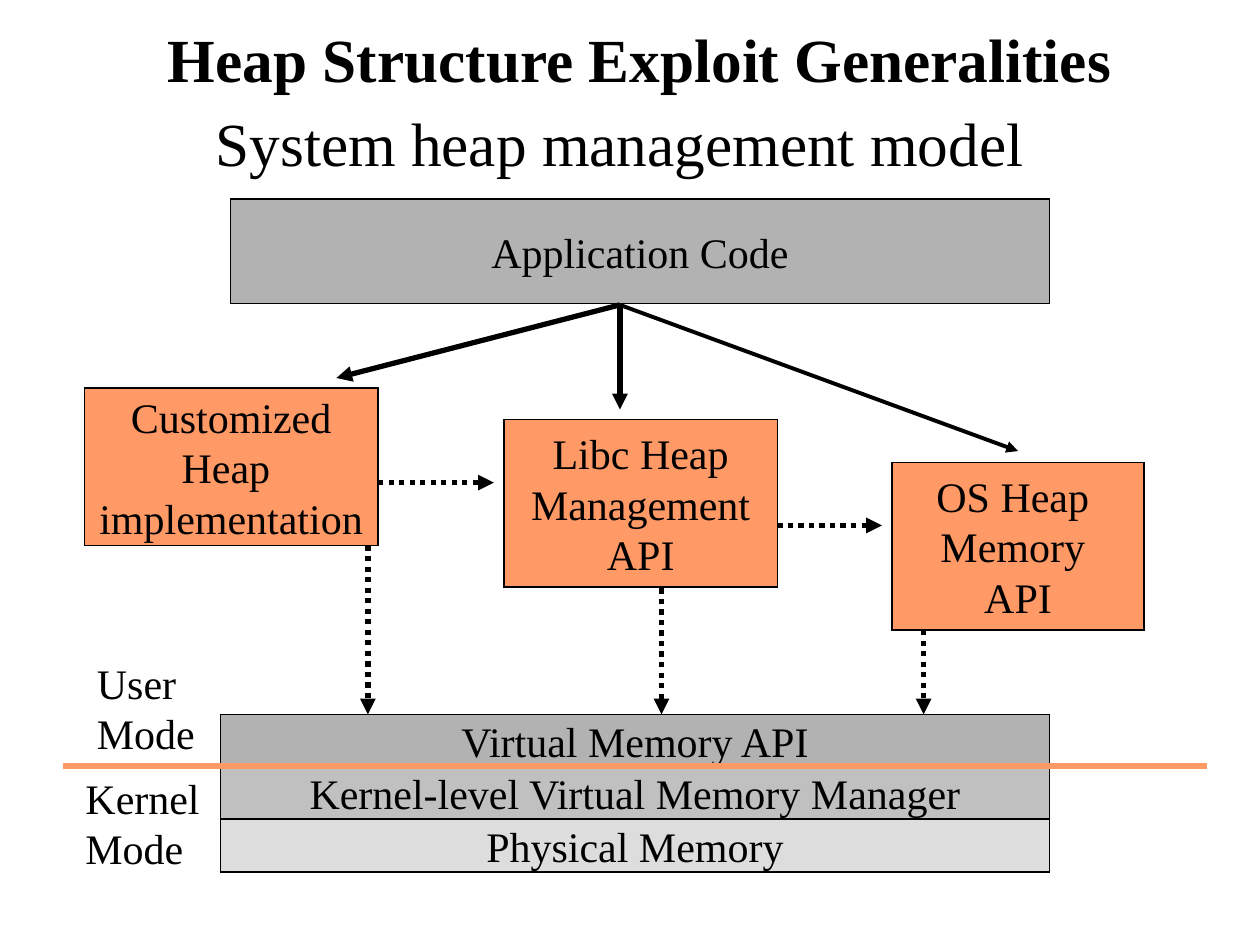
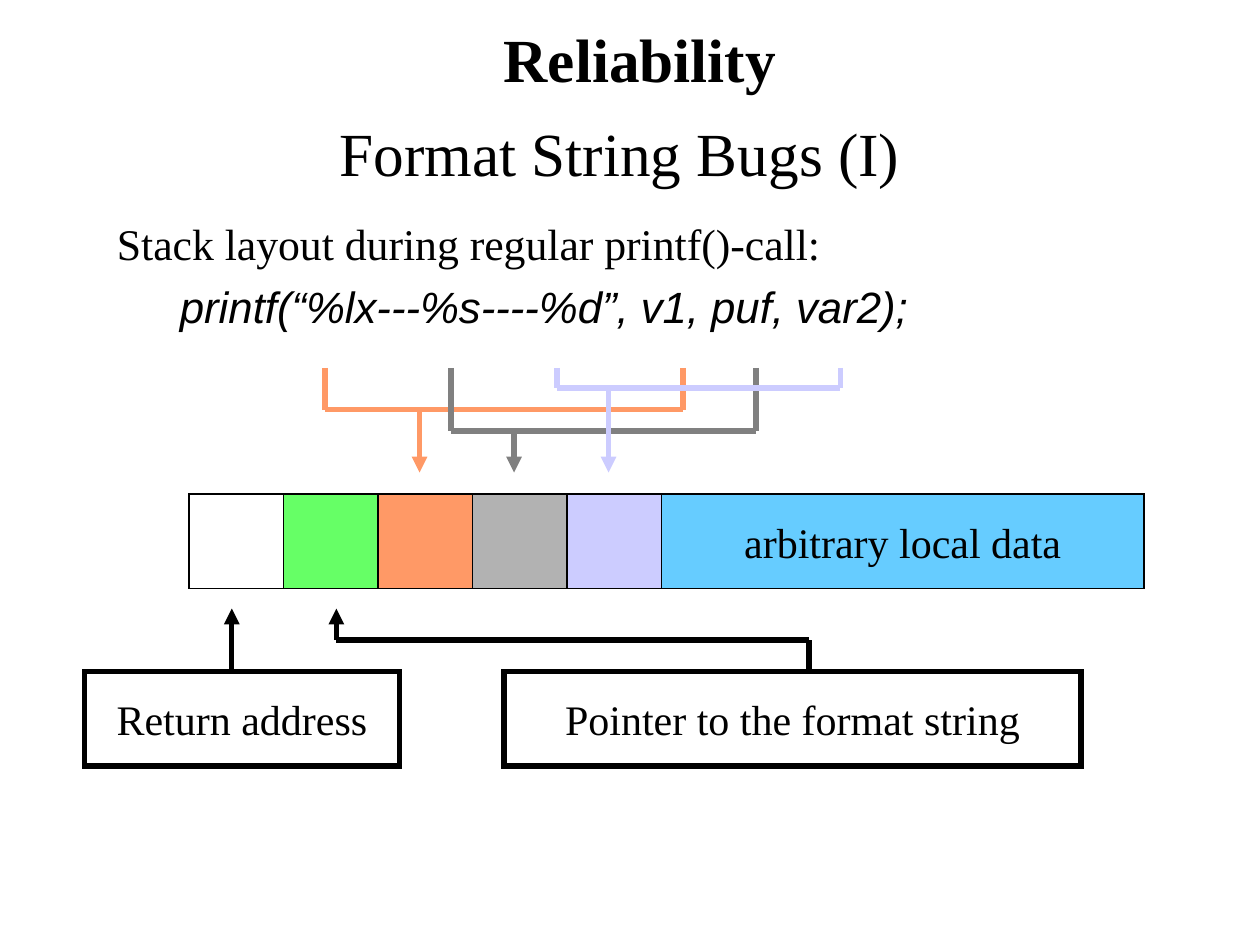
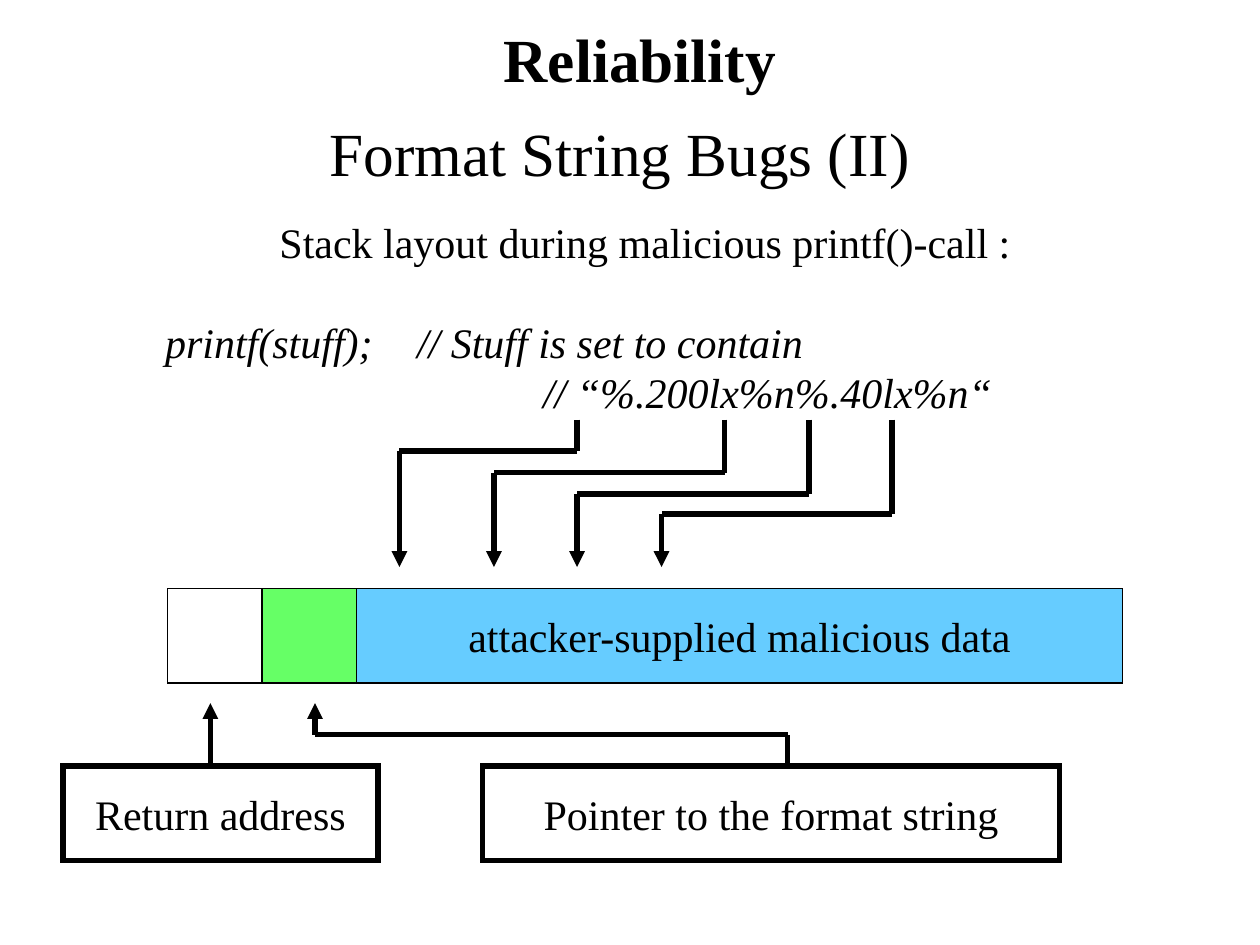
from lxml.etree import SubElement
from pptx import Presentation
from pptx.dml.color import RGBColor
from pptx.enum.dml import MSO_LINE
from pptx.enum.shapes import MSO_CONNECTOR, MSO_SHAPE
from pptx.enum.text import MSO_ANCHOR, MSO_AUTO_SIZE, PP_ALIGN
from pptx.oxml.ns import qn
from pptx.util import Inches, Pt

FONT = "Times New Roman"
COLORS = {
    "black": "000000",
    "white": "FFFFFF",
    "orange": "FF9966",
    "gray": "B2B2B2",
    "silver": "C0C0C0",
    "light": "DDDDDD",
    "dark": "808080",
    "lavender": "CCCCFF",
    "green": "66FF66",
    "blue": "66CCFF",
}
CELL = 0.75


def rgb(name):
    return RGBColor.from_string(COLORS[name])


def write(frame, text, size=24, align=PP_ALIGN.LEFT, bold=False, wrap=True):
    """Fill a text frame, one paragraph per line of text."""
    frame.auto_size = MSO_AUTO_SIZE.NONE
    frame.word_wrap = wrap
    frame.text = text
    for paragraph in frame.paragraphs:
        paragraph.alignment = align
        font = paragraph.font
        font.name, font.size, font.bold = FONT, Pt(size), bold
        font.color.rgb = rgb("black")


def add_text(slide, left, top, width, height, text, **style):
    box = slide.shapes.add_textbox(*map(Inches, (left, top, width, height)))
    write(box.text_frame, text, **style)
    return box.text_frame


def add_box(shapes, left, top, width, height, fill, text="", weight=0.75):
    shape = shapes.add_shape(
        MSO_SHAPE.RECTANGLE, *map(Inches, (left, top, width, height)))
    shape.shadow.inherit = False
    shape.fill.solid()
    shape.fill.fore_color.rgb = rgb(fill)
    shape.line.color.rgb = rgb("black")
    shape.line.width = Pt(weight)
    # Square corners
    outline = shape._element.spPr.find(qn("a:ln"))
    SubElement(outline, qn("a:miter"), lim="800000")
    if text:
        write(shape.text_frame, text, align=PP_ALIGN.CENTER, wrap=False)
        shape.text_frame.vertical_anchor = MSO_ANCHOR.MIDDLE


def add_line(shapes, start, end, color="black", weight=3, arrow=False, dotted=False):
    line = shapes.add_connector(
        MSO_CONNECTOR.STRAIGHT, *map(Inches, (*start, *end)))
    line.line.color.rgb = rgb(color)
    line.line.width = Pt(weight)
    if dotted:
        line.line.dash_style = MSO_LINE.ROUND_DOT
    properties = line._element.spPr
    if arrow:
        SubElement(properties.find(qn("a:ln")), qn("a:tailEnd"), type="triangle")
    SubElement(properties, qn("a:effectLst"))


def add_route(shapes, points):
    """Join points with straight lines; the last one carries the arrowhead."""
    for index, (start, end) in enumerate(zip(points, points[1:]), 2):
        add_line(shapes, start, end, arrow=index == len(points))


def add_bracket(slide, left, right, bar, stem, color):
    """Join a format specifier and its argument, and point to the stack."""
    shapes = slide.shapes.add_group_shape().shapes
    for x in (left, right):
        add_line(shapes, (x, 2.92), (x, bar), color)
    add_line(shapes, (left, bar), (right, bar), color)
    add_line(shapes, (stem, bar), (stem, 3.75), color, arrow=True)


def add_stack(slide, left, top, fills, data_width, data_text):
    """Draw equal stack cells followed by one wide data cell."""
    data_left = left + CELL * len(fills)
    add_box(slide.shapes, data_left, top, data_width, CELL, "blue", data_text)
    for index, fill in enumerate(fills):
        add_box(slide.shapes, left + CELL * index, top, CELL, CELL, fill)


def add_callouts(slide, left, top):
    """Label the first two stack cells from below."""
    shapes = slide.shapes.add_group_shape().shapes
    add_box(shapes, left, top, 2.5, 0.75, "white", "Return address", 3)
    add_route(shapes, [(left + 1.17, top), (left + 1.17, top - 0.5)])

    shapes = slide.shapes.add_group_shape().shapes
    add_box(shapes, left + 3.33, top, 4.58, 0.75, "white",
            "Pointer to the format string", 3)
    add_route(shapes, [(left + 5.75, top), (left + 5.75, top - 0.25),
                       (left + 2, top - 0.25), (left + 2, top - 0.5)])


def add_slide(presentation, heading, title, title_top=0.75):
    slide = presentation.slides.add_slide(presentation.slide_layouts[5])
    placeholder = slide.shapes.title
    placeholder.left, placeholder.top = Inches(0.67), Inches(title_top)
    placeholder.width, placeholder.height = Inches(8.5), Inches(0.92)
    write(placeholder.text_frame, title, 35, PP_ALIGN.CENTER)
    heading_frame = add_text(slide, 0.83, 0, 8.5, 0.92, heading, size=35,
                             align=PP_ALIGN.CENTER, bold=True)
    for frame in (placeholder.text_frame, heading_frame):
        frame.vertical_anchor = MSO_ANCHOR.MIDDLE
    return slide


def build_heap_model(presentation):
    slide = add_slide(presentation, "Heap Structure Exploit Generalities",
                      "System heap management model", 0.67)
    shapes = slide.shapes

    # Memory layers and the border between the modes
    for top, fill, text in (
        (6.5, "light", "Physical Memory"),
        (6.08, "silver", "Kernel-level Virtual Memory Manager"),
        (5.67, "gray", "Virtual Memory API"),
    ):
        add_box(shapes, 1.75, top, 6.58, 0.42, fill, text)
    add_line(shapes, (0.5, 6.08), (9.58, 6.08), "orange")
    add_text(slide, 0.58, 6.08, 1.1, 0.9, "Kernel\nMode", wrap=False)
    add_text(slide, 0.67, 5.17, 0.98, 0.9, "User\nMode", wrap=False)

    # Application and heap interfaces
    add_box(shapes, 1.83, 1.58, 6.5, 0.83, "gray", "Application Code")
    for left, top, width, height, text in (
        (7.08, 3.67, 2, 1.33, "OS Heap \nMemory \nAPI"),
        (4, 3.33, 2.17, 1.33, "Libc Heap\nManagement\nAPI"),
        (0.67, 3.08, 2.33, 1.25, "Customized\nHeap \nimplementation"),
    ):
        add_box(shapes, left, top, width, height, "orange", text)

    # Calls between the layers
    for start, end in (
        ((2.92, 4.33), (2.92, 5.67)),
        ((5.25, 4.67), (5.25, 5.67)),
        ((7.33, 5), (7.33, 5.67)),
        ((3, 3.83), (3.92, 3.83)),
        ((6.17, 4.17), (7, 4.17)),
    ):
        add_line(shapes, start, end, arrow=True, dotted=True)
    for end, weight in (((2.67, 3), 3), ((4.92, 3.25), 3), ((8.08, 3.58), 2.25)):
        add_line(shapes, (4.92, 2.42), end, weight=weight, arrow=True)


def build_regular_call(presentation):
    slide = add_slide(presentation, "Reliability", "Format String Bugs (I)")

    # Call
    frame = add_text(slide, 0.83, 1.67, 8.58, 5,
                     "Stack layout during regular printf()-call:\n"
                     "printf(“%lx---%s----%d”, v1, puf, var2);", size=25)
    for paragraph in frame.paragraphs:
        paragraph.space_before = Pt(6.2)
    code = frame.paragraphs[1]
    code.font.name, code.font.italic = "Arial", True
    code._p.get_or_add_pPr().set("marL", str(Inches(0.5)))

    # Stack
    add_stack(slide, 1.5, 3.92, ("white", "green", "orange", "gray", "lavender"),
              3.83, "arbitrary local data")
    add_callouts(slide, 0.67, 5.33)
    add_bracket(slide, 2.58, 5.42, 3.25, 3.33, "orange")
    add_bracket(slide, 3.58, 6, 3.42, 4.08, "dark")
    add_bracket(slide, 4.42, 6.67, 3.08, 4.83, "lavender")


def build_malicious_call(presentation):
    slide = add_slide(presentation, "Reliability", "Format String Bugs (II)")

    # Call, with its comments set at a tab stop and an indent
    frame = add_text(slide, 0.83, 1.67, 8.58, 5,
                     "Stack layout during malicious printf()-call :\n"
                     "printf(stuff);\t// Stuff is set to contain\n"
                     "// “%.200lx%n%.40lx%n“")
    frame.margin_left = frame.margin_right = Inches(0.48)
    intro, code, comment = frame.paragraphs
    intro.alignment = PP_ALIGN.CENTER
    code.space_before = Pt(28)
    code.font.italic = comment.font.italic = True
    comment._p.get_or_add_pPr().set("marL", str(Inches(3)))
    properties = code._p.get_or_add_pPr()
    tabs = SubElement(properties, qn("a:tabLst"))
    SubElement(tabs, qn("a:tab"), pos=str(Inches(2)), algn="l")
    properties.find(qn("a:defRPr")).addprevious(tabs)

    # Stack
    add_stack(slide, 1.33, 4.67, ("white", "green"), 6.08,
              "attacker-supplied malicious data")
    add_callouts(slide, 0.5, 6.08)
    for source, bar, target in (
        (4.58, 3.58, 3.17),
        (5.75, 3.75, 3.92),
        (6.42, 3.92, 4.58),
        (7.08, 4.08, 5.25),
    ):
        add_route(slide.shapes, [(source, 3.33), (source, bar),
                                 (target, bar), (target, 4.5)])


def main():
    presentation = Presentation()
    presentation.slide_width = Inches(10)
    presentation.slide_height = Inches(7.5)
    build_heap_model(presentation)
    build_regular_call(presentation)
    build_malicious_call(presentation)
    presentation.save("out.pptx")


if __name__ == "__main__":
    main()
